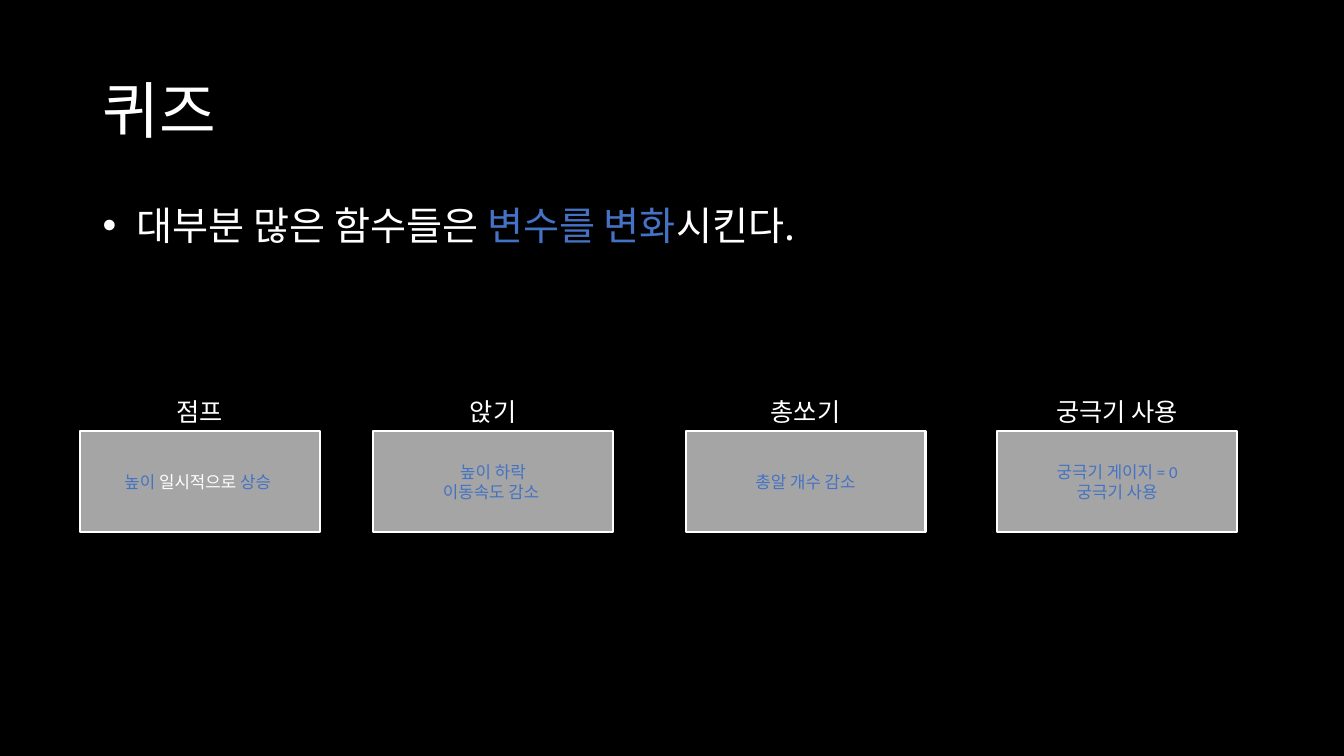
import pptx
import pptx.dml.color
import pptx.enum.shapes
import pptx.enum.text
import pptx.oxml
import pptx.oxml.ns
import pptx.util
from pptx.util import Inches

COLORS = {"black": "000000", "white": "FFFFFF", "blue": "4472C4", "gray": "A5A5A5"}
KOREAN_FONT = "Noto Sans CJK KR"
ALIGN = pptx.enum.text.PP_ALIGN
ANCHOR = pptx.enum.text.MSO_ANCHOR


def color(name):
    return pptx.dml.color.RGBColor.from_string(COLORS[name])


def write(shape, lines, size, font_name, anchor, paragraph_format):
    """Fill a shape with lines, each a list of (text, color name) runs."""
    frame = shape.text_frame
    frame.word_wrap = True
    frame.vertical_anchor = anchor
    for index, line in enumerate(lines):
        paragraph = frame.paragraphs[0] if index == 0 else frame.add_paragraph()
        for name, value in paragraph_format.items():
            setattr(paragraph, name, value)
        for text, color_name in line:
            run = paragraph.add_run()
            run.text = text
            font_format = {"size": pptx.util.Pt(size), "name": font_name}
            for name, value in font_format.items():
                setattr(run.font, name, value)
            run.font.color.rgb = color(color_name)
            east_asian = pptx.oxml.parse_xml(
                f'<a:ea {pptx.oxml.ns.nsdecls("a")} typeface="{KOREAN_FONT}"/>')
            run.font._element.append(east_asian)


presentation = pptx.Presentation()
presentation.slide_width = Inches(13.33)
presentation.slide_height = Inches(7.5)
slide = presentation.slides.add_slide(presentation.slide_layouts[6])
slide.background.fill.solid()
slide.background.fill.fore_color.rgb = color("black")

# Title
title = slide.shapes.add_textbox(Inches(0.92), Inches(0.4), Inches(11.5), Inches(1.45))
write(title, [[("퀴즈", "white")]], 44, KOREAN_FONT, ANCHOR.MIDDLE, {"line_spacing": 0.9})

# Bulleted statement
body = slide.shapes.add_textbox(Inches(0.92), Inches(2), Inches(11.5), Inches(4.76))
statement = [(" 대부분 많은 함수들은 ", "white"), ("변수를 변화", "blue"), ("시킨다.", "white")]
write(body, [statement], 28, KOREAN_FONT, ANCHOR.TOP,
      {"line_spacing": 0.9, "space_before": pptx.util.Pt(10)})
properties = body.text_frame.paragraphs[0]._p.get_or_add_pPr()
properties.set("marL", str(Inches(0.25)))
properties.set("indent", str(Inches(-0.25)))
for bullet in ('<a:buFont {} typeface="Arial"/>', '<a:buChar {} char="•"/>'):
    properties.append(pptx.oxml.parse_xml(bullet.format(pptx.oxml.ns.nsdecls("a"))))

# Function boxes, each with its name centred above
functions = [
    (0.79, "점프", [[("높이", "blue"), (" 일시적으로 ", "white"), ("상승 ", "blue")]]),
    (3.7, "앉기", [[("높이 하락", "blue")], [("이동속도 감소 ", "blue")]]),
    (6.8, "총쏘기", [[("총알 개수 감소", "blue")]]),
    (9.89, "궁극기 사용", [[("궁극기 게이지 = 0", "blue")], [("궁극기 사용", "blue")]]),
]
box_top, box_width, box_height, label_height = 4.28, 2.38, 1, 0.4
for left, function_name, effects in functions:
    box = slide.shapes.add_shape(
        pptx.enum.shapes.MSO_SHAPE.RECTANGLE,
        Inches(left), Inches(box_top), Inches(box_width), Inches(box_height))
    box.shadow.inherit = False
    box.fill.solid()
    box.fill.fore_color.rgb = color("gray")
    box.line.color.rgb = color("white")
    box.line.width = pptx.util.Pt(1.5)
    write(box, effects, 12, "Calibri", ANCHOR.MIDDLE, {"alignment": ALIGN.CENTER})

    label = slide.shapes.add_textbox(
        Inches(left), Inches(box_top - label_height), Inches(box_width), Inches(label_height))
    write(label, [[(function_name, "white")]], 18, "Calibri", ANCHOR.TOP,
          {"alignment": ALIGN.CENTER})

presentation.save("out.pptx")
